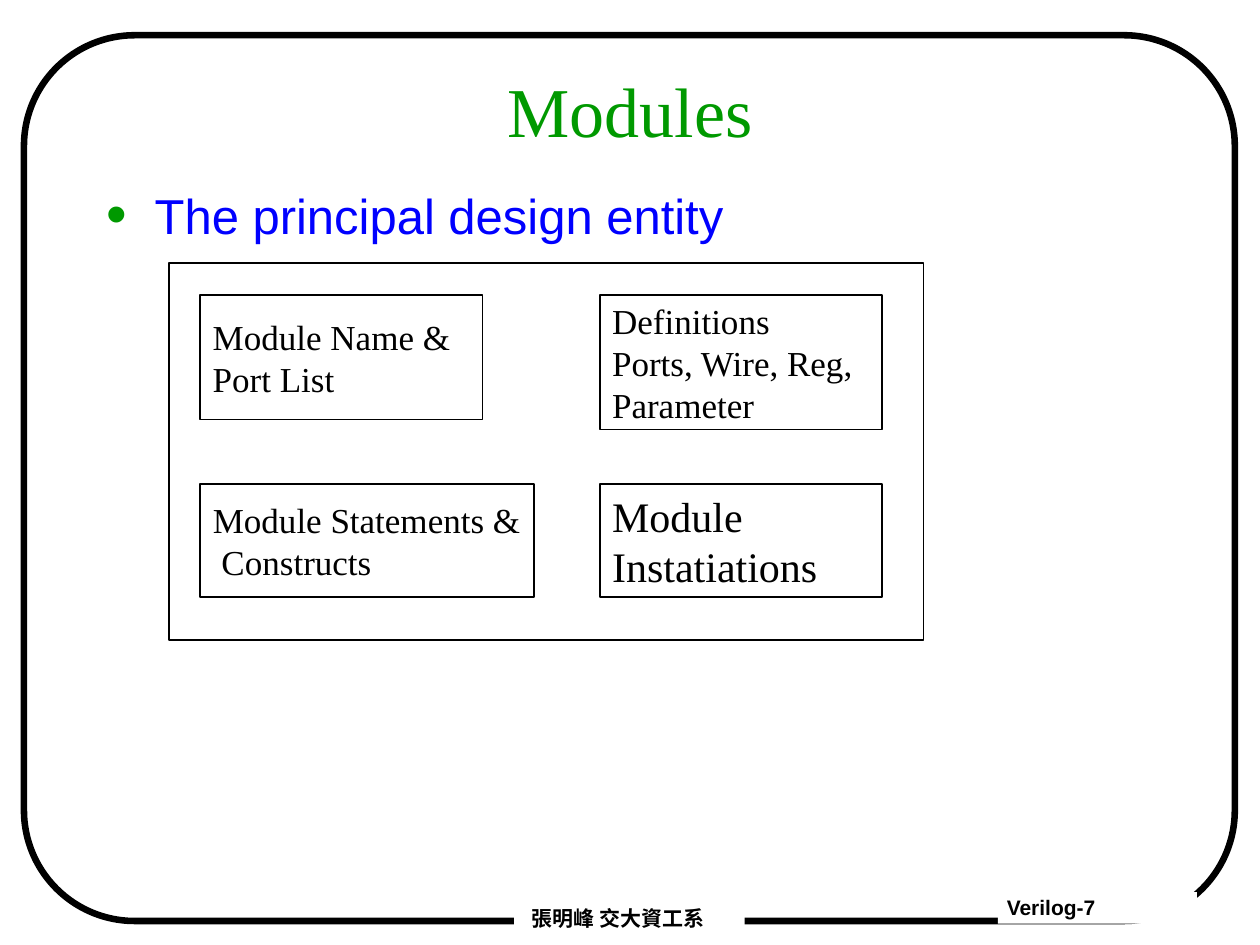
from lxml.etree import SubElement
from pptx import Presentation
from pptx.dml.color import RGBColor
from pptx.enum.shapes import MSO_SHAPE
from pptx.enum.text import MSO_ANCHOR, PP_ALIGN
from pptx.oxml.ns import qn
from pptx.util import Inches, Pt

BLACK = RGBColor(0x00, 0x00, 0x00)
WHITE = RGBColor(0xFF, 0xFF, 0xFF)
GREEN = RGBColor(0x00, 0x99, 0x00)
BLUE = RGBColor(0x00, 0x00, 0xFF)

# Content
TITLE = "Modules"
BULLET = "The principal design entity"
# Module parts: column, row, width, height, text size, lines
MODULE_PARTS = [
    (0, 0, 2.24, 0.99, 20, ["Module Name &", "Port List"]),
    (1, 0, 2.24, 1.07, 20, ["Definitions", "Ports, Wire, Reg,", "Parameter"]),
    (1, 1, 2.24, 0.90, 24, ["Module", "Instatiations"]),
    (0, 1, 2.65, 0.90, 20, ["Module Statements &", " Constructs"]),
]
# Footers: box, left inset, font, text
FOOTERS = [
    ((7.92, 7.08, 1.58, 0.25), 0.07, "Arial", "Verilog-7"),
    ((4.08, 7.17, 1.83, 0.25), 0.14, "Noto Sans CJK SC", "張明峰 交大資工系"),
]

# Layout
COLUMN_LEFTS = (1.59, 4.76)
ROW_TOPS = (2.34, 3.84)
BODY_INSETS = (0.1, 0.05, 0, 0.05)


def apply_format(target, values):
    for name, value in values.items():
        setattr(target, name, value)


def add_box(slide, box, line_width=None, fill=None, kind=MSO_SHAPE.RECTANGLE):
    shape = slide.shapes.add_shape(kind, *map(Inches, box))
    shape.shadow.inherit = False
    if fill is None:
        shape.fill.background()
    else:
        shape.fill.solid()
        shape.fill.fore_color.rgb = fill
    if line_width is None:
        shape.line.fill.background()
    else:
        shape.line.color.rgb = BLACK
        shape.line.width = Pt(line_width)
    return shape


def write_text(shape, lines, font, size, color, bold=False,
               insets=BODY_INSETS, anchor=MSO_ANCHOR.MIDDLE, **paragraph_format):
    frame = shape.text_frame
    sides = ("margin_left", "margin_top", "margin_right", "margin_bottom")
    apply_format(frame, dict(zip(sides, map(Inches, insets))))
    apply_format(frame, {"word_wrap": True, "vertical_anchor": anchor})
    for index, line in enumerate(lines):
        paragraph = frame.paragraphs[0] if index == 0 else frame.add_paragraph()
        apply_format(paragraph, {"alignment": PP_ALIGN.LEFT, **paragraph_format})
        run = paragraph.add_run()
        run.text = line
        apply_format(run.font, {"name": font, "size": Pt(size), "bold": bold})
        run.font.color.rgb = color
        SubElement(run.font._element, qn("a:ea")).set("typeface", font)
    return frame


def add_bullet(paragraph, color, percent, indent):
    properties = paragraph._p.get_or_add_pPr()
    properties.set("marL", str(Inches(indent)))
    properties.set("indent", str(-Inches(indent)))
    bullet_color = SubElement(properties, qn("a:buClr"))
    SubElement(bullet_color, qn("a:srgbClr")).set("val", str(color))
    SubElement(properties, qn("a:buSzPct")).set("val", str(percent * 1000))
    SubElement(properties, qn("a:buFont")).set("typeface", "Arial")
    SubElement(properties, qn("a:buChar")).set("char", "•")


def main():
    presentation = Presentation()
    apply_format(presentation, {"slide_width": Inches(10), "slide_height": Inches(7.5)})
    slide = presentation.slides.add_slide(presentation.slide_layouts[6])

    # Page frame, interrupted by the white footers
    frame = add_box(slide, (0.19, 0.28, 9.61, 7.03), 3.75,
                    kind=MSO_SHAPE.ROUNDED_RECTANGLE)
    frame.adjustments[0] = 0.125
    for box, left_inset, font, text in FOOTERS:
        write_text(add_box(slide, box, fill=WHITE), [text], font, 12, BLACK, bold=True,
                   insets=(left_inset, 0.03, 0.07, 0.03), anchor=MSO_ANCHOR.TOP,
                   line_spacing=0.97)

    # Title and bullet
    title = slide.shapes.add_textbox(*map(Inches, (0.75, 0.33, 8.5, 1.08)))
    write_text(title, [TITLE], "Times New Roman", 40, GREEN,
               insets=(0.1, 0.05, 0.1, 0.05), alignment=PP_ALIGN.CENTER)
    body = slide.shapes.add_textbox(*map(Inches, (0.75, 1.42, 8.5, 5.25)))
    body_frame = write_text(body, [BULLET], "Arial", 28, BLUE,
                            anchor=MSO_ANCHOR.TOP, space_before=Pt(7))
    add_bullet(body_frame.paragraphs[0], GREEN, 120, 0.38)

    # Module outline and its parts
    add_box(slide, (1.34, 2.09, 5.99, 2.99), 1)
    for column, row, width, height, size, lines in MODULE_PARTS:
        box = (COLUMN_LEFTS[column], ROW_TOPS[row], width, height)
        write_text(add_box(slide, box, 1), lines, "Times New Roman", size, BLACK)

    presentation.save("out.pptx")


if __name__ == "__main__":
    main()
